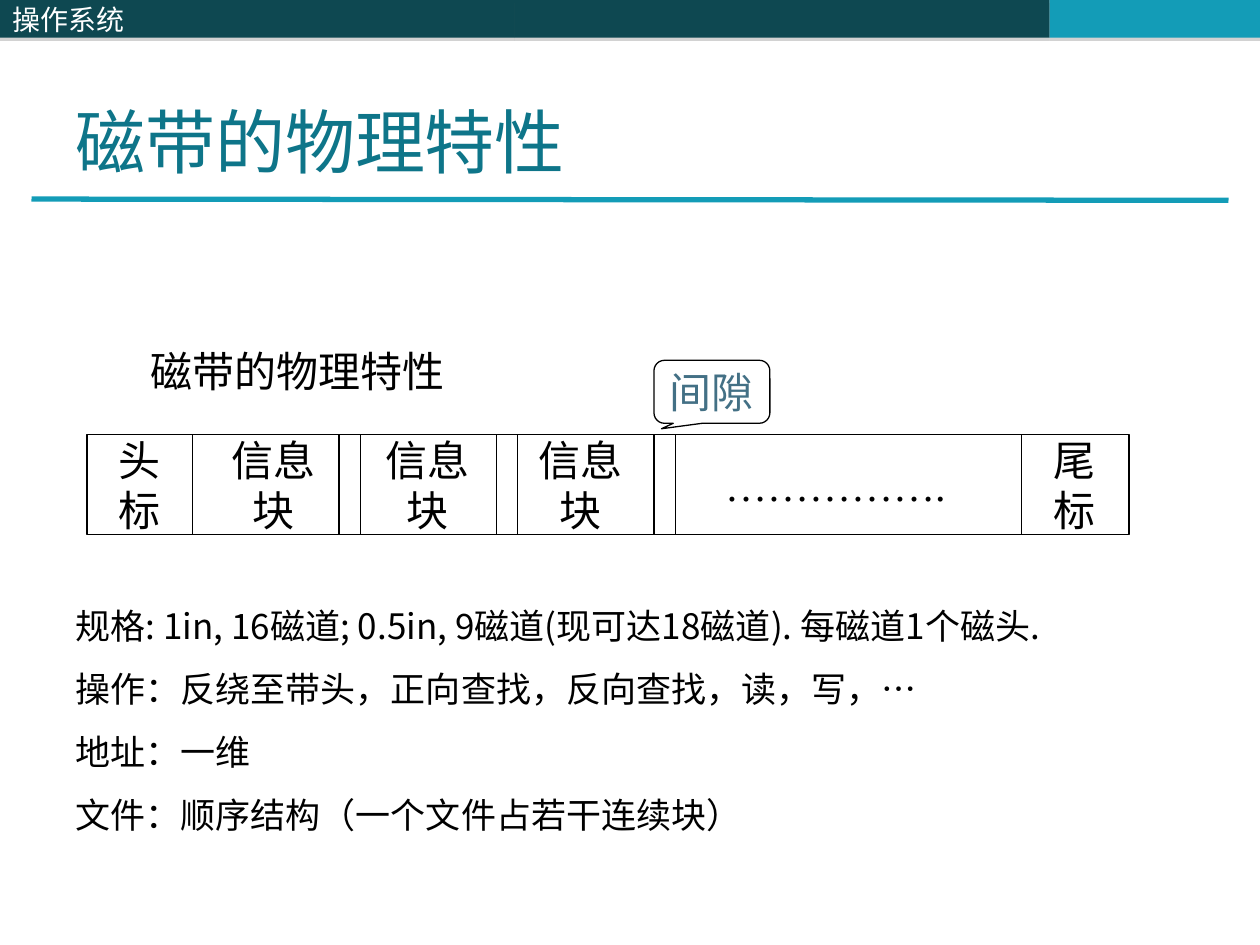
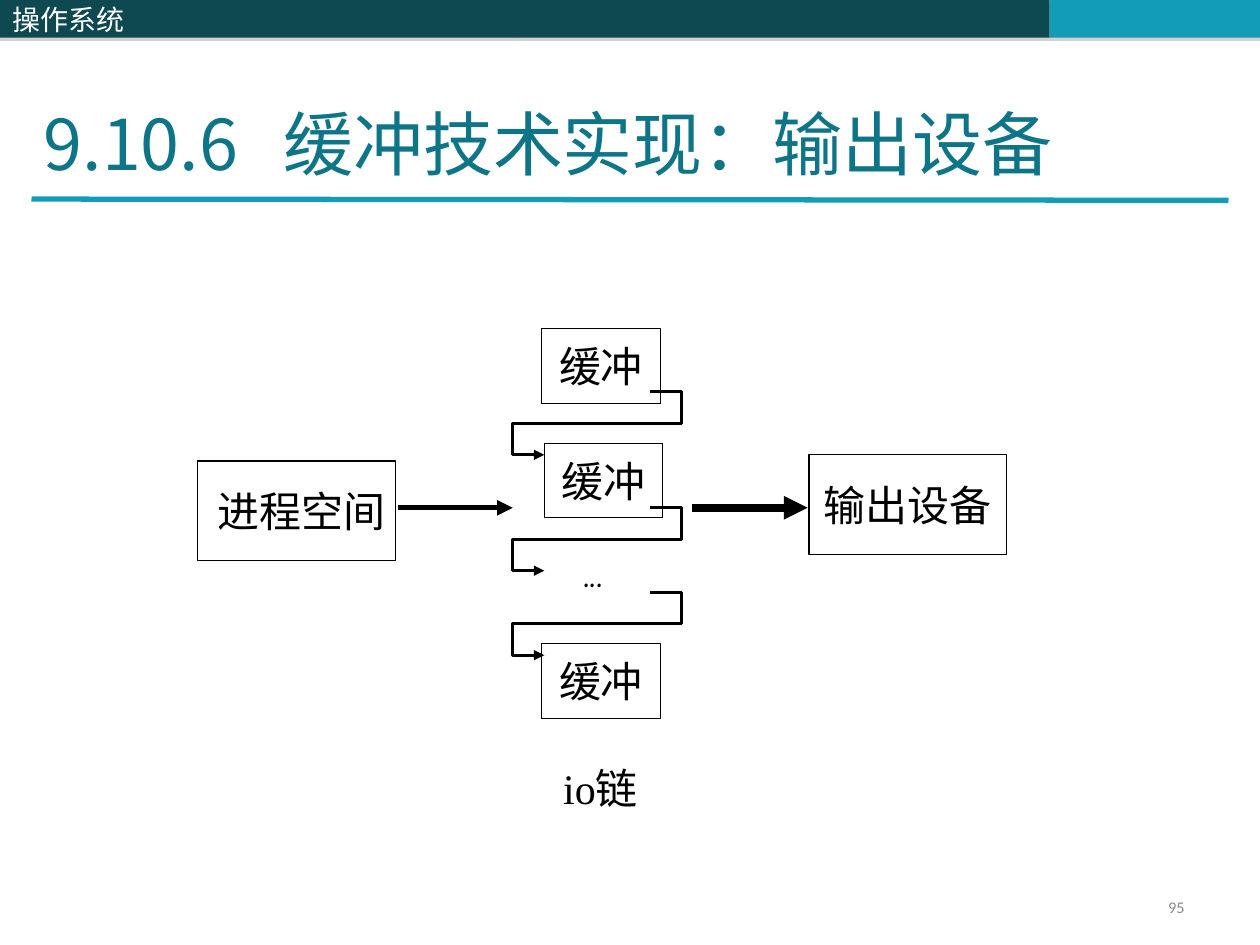
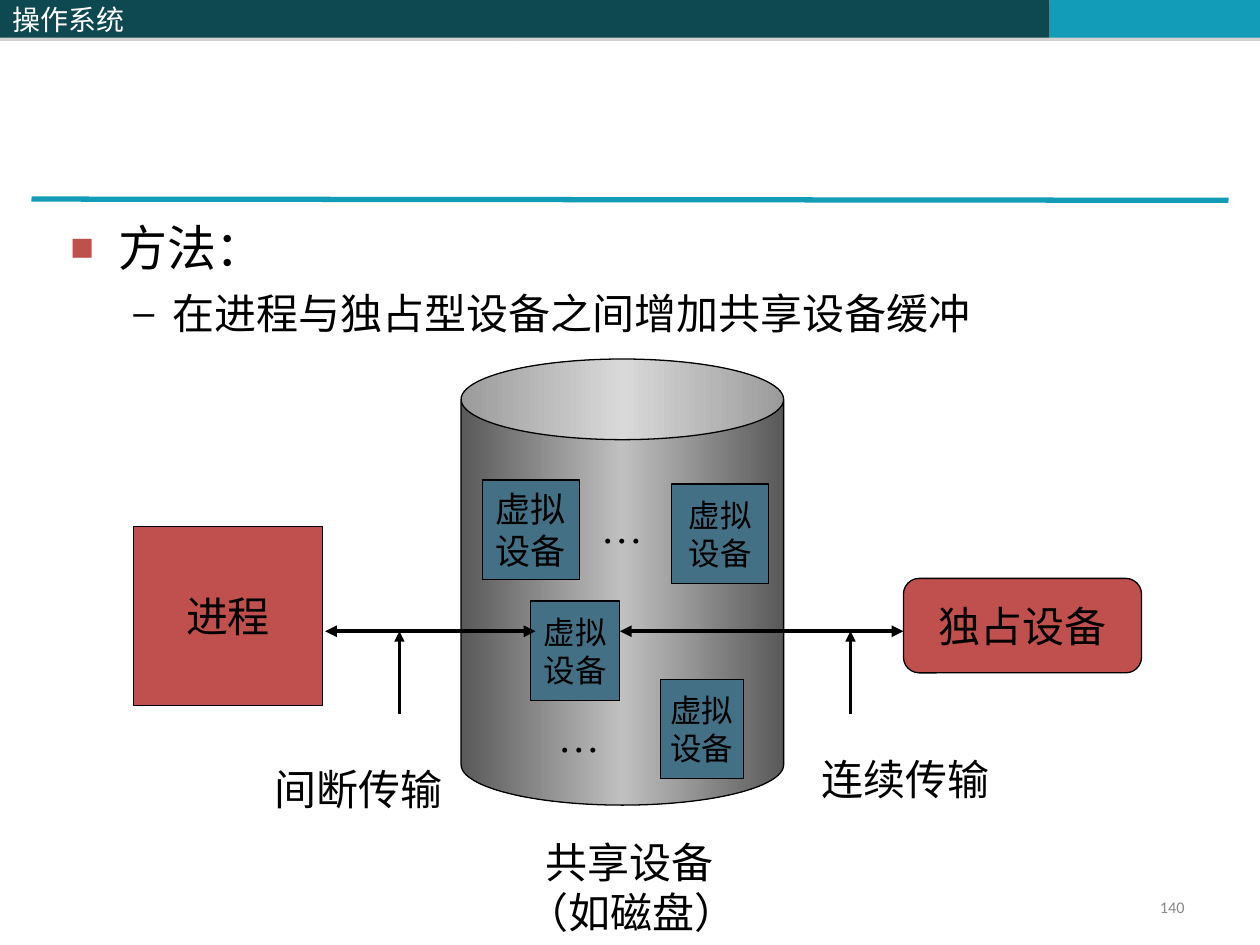
from lxml.etree import SubElement as Sub
from pptx import Presentation
from pptx.dml.color import RGBColor as RGB
from pptx.enum.shapes import MSO_CONNECTOR as Conn, MSO_SHAPE as Kind
from pptx.enum.text import MSO_ANCHOR as Anchor, PP_ALIGN as Align
from pptx.oxml.ns import qn
from pptx.util import Inches as In, Pt

WIDE, HIGH = 10, 7.5
HEX = dict(dark="0E4851", aqua="139CB7", title="0E7589", blue="437085",
           red="C0504D", grey="898989", black="000000", white="FFFFFF",
           shade="808080", edge="595959", shine="C0C0C0")
SANS, SERIF, COMIC, PLAIN = "Noto Sans CJK SC", "Times New Roman", "Comic Neue", "Calibri"
COURSE = "操作系统"

# Slide 1: tape cells as label, left, right, centre of the label
TAPE_TOP, TAPE_H = 3.45, 0.79
TAPE = [("头标", 0.69, 1.53, 1.11), ("信息块", 1.53, 2.69, 2.17),
        ("信息块", 2.86, 3.94, 3.39), ("信息块", 4.11, 5.19, 4.61),
        ("…………….", 5.36, 8.11, 6.63), ("尾标", 8.11, 8.96, 8.53)]
FACTS = ["规格: 1in, 16磁道; 0.5in, 9磁道(现可达18磁道). 每磁道1个磁头.",
         "操作：反绕至带头，正向查找，反向查找，读，写，…",
         "地址：一维",
         "文件：顺序结构（一个文件占若干连续块）"]

# Slide 2: boxes as text, place, first-line indent
BOXES = [("进程空间", (1.57, 3.66, 1.57, 0.79), 0.08),
         ("输出设备", (6.42, 3.61, 1.57, 0.79), 0),
         ("缓冲", (4.3, 2.61, 0.94, 0.59), 0),
         ("缓冲", (4.32, 3.52, 0.94, 0.59), 0),
         ("缓冲", (4.3, 5.11, 0.94, 0.59), 0)]
FLOWS = [(3.16, 4.07, 3), (5.49, 6.41, 4.5)]
FLOW_Y = 4.03
LINK_TOPS, LINK_STEP = [3.11, 4.03, 4.7], 0.25
LINK_X = [5.16, 5.41, 5.41, 4.07, 4.07, 4.32]

# Slide 3: virtual devices as place and size; labels as text, place, font
POINTS = [("方法：", dict(size=28, bullet=("■", "red", 80), left=0.38, first=-0.38)),
          ("在进程与独占型设备之间增加共享设备缓冲",
           dict(size=24, bullet=("–", "black", 90), left=0.81, first=-0.31, before=6))]
UNITS = [((3.83, 3.81, 0.77, 0.79), 20), ((5.33, 3.84, 0.77, 0.79), 18),
         ((4.21, 4.77, 0.71, 0.79), 18), ((5.24, 5.39, 0.66, 0.79), 18)]
LABELS = [("共享设备（如磁盘）", (4.08, 6.59, 2.02, 0.9), SANS, 0.15),
          ("间断传输", (2.08, 6.01, 1.75, 0.5), SANS, 0),
          ("连续传输", (6.42, 5.93, 1.75, 0.5), SANS, 0),
          ("…", (4.33, 5.59, 0.75, 0.5), SERIF, 0),
          ("…", (4.67, 3.93, 0.5, 0.5), SERIF, 0)]
BUS_Y, BUS = 5.01, [(2.58, 4.25), (4.92, 7.17)]
MARKS, MARK_Y = [3.17, 6.75], 5.67


def rgb(name):
    return RGB.from_string(HEX[name])


def para(p, line, size=24, font=SANS, color="black", align=Align.LEFT, lead=None,
         before=0, left=0, first=0, bullet=None, tab=None):
    props = p._p.get_or_add_pPr()
    if left or first:
        props.set("marL", str(In(left)))
        props.set("indent", str(In(first)))
    if bullet:
        sign, tint, share = bullet
        Sub(Sub(props, qn("a:buClr")), qn("a:srgbClr"), val=HEX[tint])
        Sub(props, qn("a:buSzPct"), val=str(share * 1000))
        Sub(props, qn("a:buFont"), typeface="Arial")
        Sub(props, qn("a:buChar"), char=sign)
    if tab:
        Sub(Sub(props, qn("a:tabLst")), qn("a:tab"), pos=str(In(tab)), algn="l")
    p.alignment = align
    if lead:
        p.line_spacing = lead
    if before:
        p.space_before = Pt(before)
    run = p.add_run()
    run.text = line
    run.font.size, run.font.name = Pt(size), font
    run.font.color.rgb = rgb(color)
    Sub(run._r.get_or_add_rPr(), qn("a:ea"), typeface=SANS)


def write(shape, lines, pad=0.1, anchor=Anchor.TOP, wrap=True, **fmt):
    """Fill a shape; a line is a string or a (string, own format) pair."""
    frame = shape.text_frame
    frame.word_wrap, frame.vertical_anchor = wrap, anchor
    frame.margin_left = frame.margin_right = In(pad)
    frame.margin_top = frame.margin_bottom = In(0.05)
    for i, item in enumerate([lines] if isinstance(lines, str) else lines):
        line, own = (item, {}) if isinstance(item, str) else item
        para(frame.add_paragraph() if i else frame.paragraphs[0], line, **{**fmt, **own})


def text(slide, lines, place, **fmt):
    write(slide.shapes.add_textbox(*map(In, place)), lines, **fmt)


def box(slide, place, fill="white", edge="black", kind=Kind.RECTANGLE, adjust=(),
        lines=None, **fmt):
    shape = slide.shapes.add_shape(kind, *map(In, place))
    shape.shadow.inherit = False
    for i, value in enumerate(adjust):
        shape.adjustments[i] = value
    shape.fill.solid()
    shape.fill.fore_color.rgb = rgb(fill)
    if edge:
        shape.line.color.rgb, shape.line.width = rgb(edge), Pt(0.75)
    else:
        shape.line.fill.background()
    if lines:
        write(shape, lines, **{**dict(anchor=Anchor.MIDDLE, align=Align.CENTER, wrap=False), **fmt})
    return shape


def stroke(shape, color, width, ends):
    shape.line.color.rgb, shape.line.width = rgb(color), Pt(width)
    for end in ends:
        Sub(shape.line._get_or_add_ln(), qn(f"a:{end}End"), type="triangle")


def line(slide, x1, y1, x2, y2, color="black", width=0.75, ends=()):
    wire = slide.shapes.add_connector(Conn.STRAIGHT, *map(In, (x1, y1, x2, y2)))
    stroke(wire, color, width, ends)
    Sub(wire._element.spPr, qn("a:effectLst"))


def link(slide, top):
    """Draw the bent arrow from one buffer to the next."""
    spots = [(In(x), In(top + i // 2 * LINK_STEP)) for i, x in enumerate(LINK_X)]
    pen = slide.shapes.build_freeform(*spots[0])
    pen.add_line_segments(spots[1:], close=False)
    shape = pen.convert_to_shape()
    shape.shadow.inherit = False
    shape.fill.background()
    stroke(shape, "black", 1.75, ["tail"])


def band(slide, left, right, fill, **fmt):
    shape = box(slide, (left, 0, right - left, 0.3), fill, None, **fmt)
    effect = shape._element.spPr.find(qn("a:effectLst"))
    shade = Sub(effect, qn("a:outerShdw"), blurRad="0", dist=str(Pt(1.8)),
                dir="5400000", algn="ctr", rotWithShape="0")
    Sub(Sub(shade, qn("a:srgbClr"), val=HEX["shade"]), qn("a:alpha"), val="35000")


def start(deck, number=None):
    slide = deck.slides.add_slide(deck.slide_layouts[6])
    band(slide, 4.08, 8.33, "dark")
    band(slide, 8.33, WIDE, "aqua")
    line(slide, 0.25, 1.58, WIDE - 0.25, 1.59, "aqua", 3)
    band(slide, 0, 4.08, "dark", lines=COURSE, size=16, color="white",
         align=Align.LEFT, wrap=True)
    if number:
        text(slide, number, (7.17, 7.08, 2.33, 0.27), size=9.3, font=PLAIN, color="grey",
             align=Align.RIGHT, lead=0.8, anchor=Anchor.MIDDLE)
    return slide


def title(slide, words, place, **fmt):
    text(slide, words, place, size=40, color="title", **fmt)


def tape(deck):
    slide = start(deck)
    left, right = TAPE[0][1], TAPE[-1][2]
    box(slide, (left, TAPE_TOP, right - left, TAPE_H))
    cuts = {x for cell in TAPE for x in cell[1:3]} - {left, right}
    for x in sorted(cuts):
        line(slide, x, TAPE_TOP, x, TAPE_TOP + TAPE_H)
    for label, x1, x2, mid in TAPE:
        wide = x2 - x1
        text(slide, label, (mid - wide / 2, TAPE_TOP, wide, TAPE_H), font=SERIF,
             align=Align.CENTER, anchor=Anchor.MIDDLE, wrap=False)
    box(slide, (5.19, 2.86, 0.92, 0.5), kind=Kind.ROUNDED_RECTANGULAR_CALLOUT,
        adjust=(-0.435, 0.587, 0.167), lines="间隙", font=SERIF, color="blue")
    text(slide, FACTS, (0.5, 4.58, 8.78, 2.6), size=20, lead=1.5)
    title(slide, "磁带的物理特性", (0.5, 0.42, 8.5, 1.08), anchor=Anchor.BOTTOM)
    text(slide, "磁带的物理特性", (1.1, 2.69, 2.53, 0.5), wrap=False)


def buffers(deck):
    slide = start(deck, "95")
    title(slide, "9.10.6\t缓冲技术实现：输出设备", (0.25, 0.75, 9, 1.44), tab=1.9)
    for label, place, first in BOXES:
        box(slide, place, lines=label, font=SERIF, pad=0.06, first=first)
    for x1, x2, width in FLOWS:
        line(slide, x1, FLOW_Y, x2, FLOW_Y, width=width, ends=["tail"])
    for top in LINK_TOPS:
        link(slide, top)
    text(slide, "...", (4.57, 4.28, 0.58, 0.5), font=COMIC, pad=0.06)
    text(slide, "io链", (4.41, 6, 1, 0.5), font=SERIF, pad=0.06)


def disk(slide, place):
    shape = box(slide, place, kind=Kind.CAN, adjust=[0.25])
    shape.fill.gradient()
    shape.fill.gradient_angle = 0
    stops = shape._element.spPr.find(qn("a:gradFill")).find(qn("a:gsLst"))
    stops.clear()
    for share, name in [(0, "edge"), (50, "shine"), (100, "edge")]:
        Sub(Sub(stops, qn("a:gs"), pos=str(share * 1000)), qn("a:srgbClr"), val=HEX[name])


def spool(deck):
    slide = start(deck, "140")
    text(slide, POINTS, (0.46, 1.68, 8.5, 1.33))
    disk(slide, (3.66, 2.85, 2.56, 3.54))
    for place, size in UNITS:
        box(slide, place, "blue", lines=["虚拟", "设备"], size=size, pad=0.02)
    box(slide, (1.06, 4.18, 1.5, 1.42), "red", lines="进程")
    box(slide, (7.17, 4.59, 1.89, 0.75), "red", kind=Kind.ROUNDED_RECTANGLE,
        adjust=[0.167], lines="独占设备")
    for x1, x2 in BUS:
        line(slide, x1, BUS_Y, x2, BUS_Y, width=2.25, ends=["head", "tail"])
    for x in MARKS:
        line(slide, x, MARK_Y, x, BUS_Y, width=1.5, ends=["tail"])
    for label, place, font, first in LABELS:
        text(slide, label, place, font=font, first=first)


def main():
    deck = Presentation()
    deck.slide_width, deck.slide_height = In(WIDE), In(HIGH)
    for build in (tape, buffers, spool):
        build(deck)
    deck.save("out.pptx")


if __name__ == "__main__":
    main()
